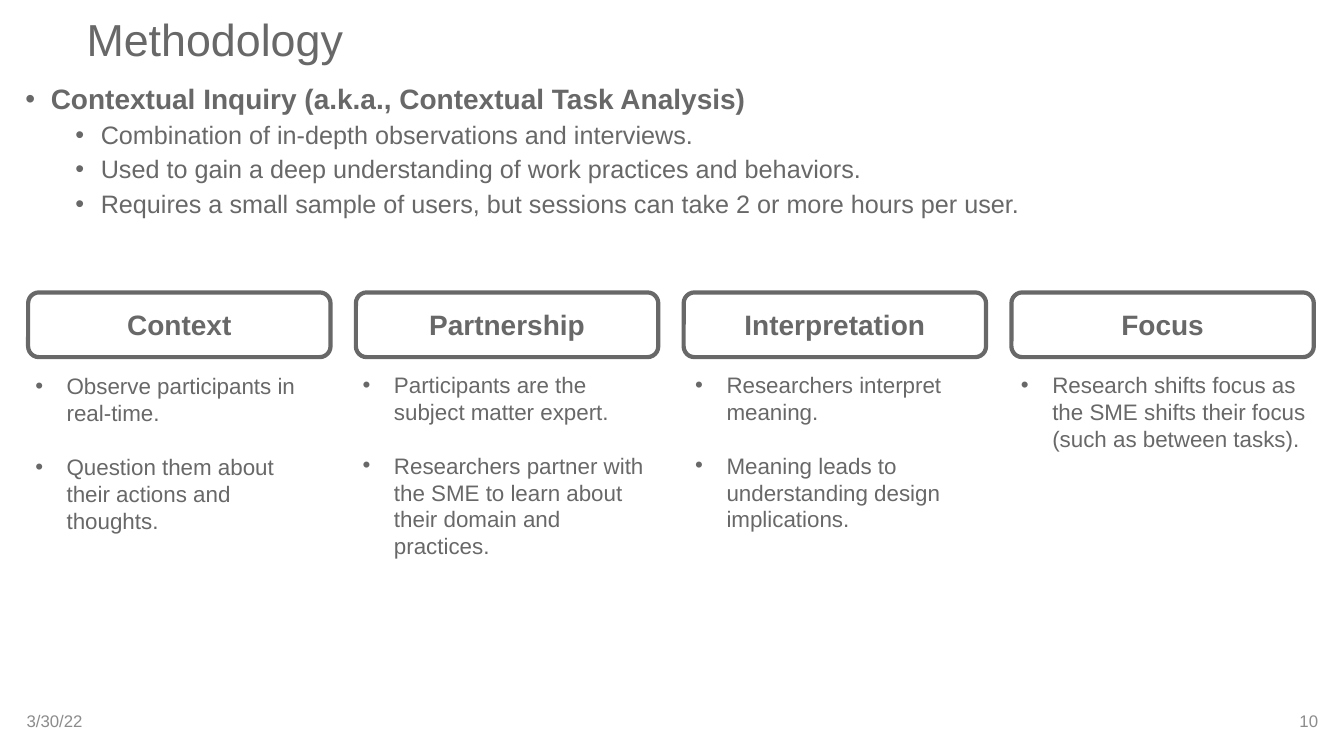
from dataclasses import dataclass

from lxml import etree
from pptx import Presentation
from pptx.dml.color import RGBColor
from pptx.enum.shapes import MSO_SHAPE
from pptx.enum.text import MSO_ANCHOR, MSO_AUTO_SIZE, PP_ALIGN
from pptx.oxml.ns import qn
from pptx.util import Cm, Pt

ROUNDED = MSO_SHAPE.ROUNDED_RECTANGLE
TOP, MIDDLE = MSO_ANCHOR.TOP, MSO_ANCHOR.MIDDLE
LEFT, CENTER, RIGHT = PP_ALIGN.LEFT, PP_ALIGN.CENTER, PP_ALIGN.RIGHT
NO_FIT, GROW = MSO_AUTO_SIZE.NONE, MSO_AUTO_SIZE.SHAPE_TO_FIT_TEXT


@dataclass(frozen=True)
class Theme:
    font: str = "Arial"
    ink: RGBColor = RGBColor(0x69, 0x68, 0x68)
    muted: RGBColor = RGBColor(0x8C, 0x8C, 0x8C)
    paper: RGBColor = RGBColor(0xFF, 0xFF, 0xFF)
    title: int = 32
    heading: int = 20
    body: int = 18
    detail: int = 16
    footer: int = 12


theme = Theme()


def set_frame(tf, anchor=TOP, left=0.25, right=0.25, fit=NO_FIT):
    """Set wrapping, anchor and side insets (cm) of a text frame."""
    tf.word_wrap = True
    tf.auto_size = fit
    tf.vertical_anchor = anchor
    tf.margin_left, tf.margin_right = Cm(left), Cm(right)
    tf.margin_top = tf.margin_bottom = Cm(0.13)


def add_text(tf, text, size, color=theme.ink, bold=False, align=LEFT,
             spacing=1.0, before=0, level=0, indent=None, hang=0.64):
    """Write a paragraph; an indent (cm) makes it a bullet."""
    p = tf.paragraphs[0]
    if p.runs:
        p = tf.add_paragraph()
        p.space_before = Pt(before)
    p.alignment, p.level, p.line_spacing = align, level, spacing
    if indent is not None:
        pPr = p._p.get_or_add_pPr()
        pPr.set("marL", str(Cm(indent)))
        pPr.set("indent", str(-Cm(hang)))
        etree.SubElement(pPr, qn("a:buFont"), typeface=theme.font)
        etree.SubElement(pPr, qn("a:buChar"), char="•")
    r = p.add_run()
    r.text = text
    r.font.name, r.font.size, r.font.bold = theme.font, Pt(size), bold
    r.font.color.rgb = color


prs = Presentation()
prs.slide_width, prs.slide_height = Cm(33.87), Cm(19.05)
s = prs.slides.add_slide(prs.slide_layouts[5])

# Title
title = s.shapes.title
title.left, title.top, title.width, title.height = Cm(0.28), Cm(0.13), Cm(32.84), Cm(1.88)
set_frame(title.text_frame, anchor=MIDDLE, left=1.9)
add_text(title.text_frame, "Methodology", theme.title, spacing=0.9)

# Date and slide number
for text, left, align, insets in [
    ("3/30/22", 0.03, LEFT, (0.64, 0.25)),
    ("10", 26.24, RIGHT, (0.25, 0.64)),
]:
    tf = s.shapes.add_textbox(Cm(left), Cm(17.65), Cm(7.62), Cm(1.02)).text_frame
    set_frame(tf, MIDDLE, *insets)
    add_text(tf, text, theme.footer, color=theme.muted, align=align)

# Introduction
tf = s.shapes.add_textbox(Cm(0), Cm(2.03), Cm(32.21), Cm(4.39)).text_frame
set_frame(tf, left=0.64)
add_text(tf, "Contextual Inquiry (a.k.a., Contextual Task Analysis)",
         theme.heading, bold=True, spacing=0.9, indent=0.64)
for text in [
    "Combination of in-depth observations and interviews.",
    "Used to gain a deep understanding of work practices and behaviors.",
    "Requires a small sample of users, but sessions can take 2 or more hours per user.",
]:
    add_text(tf, text, theme.body, spacing=0.9, before=5, level=1, indent=1.9)

# Four principles: heading, left, top and height of the details, details
principles = [
    ("Context", 0.64, 9.25, 4.37,
     ["Observe participants in real-time.",
      "Question them about their actions and thoughts."]),
    ("Partnership", 8.89, 9.22, 5.05,
     ["Participants are the subject matter expert.",
      "Researchers partner with the SME to learn about their domain and practices."]),
    ("Interpretation", 17.27, 9.22, 4.37,
     ["Researchers interpret meaning.",
      "Meaning leads to understanding design implications."]),
    ("Focus", 25.48, 9.22, 2.31,
     ["Research shifts focus as the SME shifts their focus (such as between tasks)."]),
]
for i, (heading, left, top, height, details) in enumerate(principles):
    sp = s.shapes.add_shape(ROUNDED, Cm(0.71 + 8.26 * i), Cm(7.37), Cm(7.62), Cm(1.63))
    sp.shadow.inherit = False
    sp.fill.solid()
    sp.fill.fore_color.rgb = theme.paper
    sp.line.color.rgb = theme.ink
    sp.line.width = Pt(3)
    set_frame(sp.text_frame, anchor=MIDDLE)
    add_text(sp.text_frame, heading, theme.heading, bold=True, align=CENTER)

    tf = s.shapes.add_textbox(Cm(left), Cm(top), Cm(7.7), Cm(height)).text_frame
    set_frame(tf, fit=GROW)
    for text in details:
        add_text(tf, text, theme.detail, before=19.3, indent=0.79, hang=0.79)

prs.save("out.pptx")
